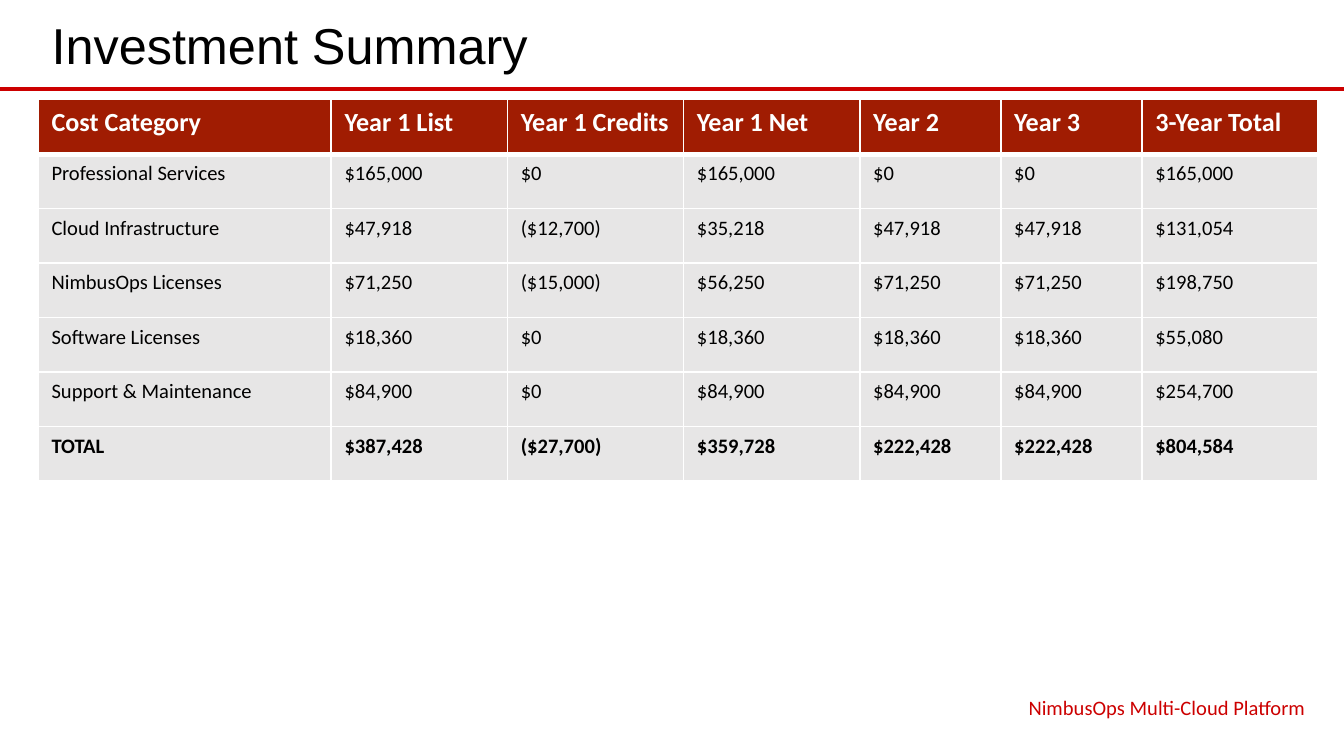
from lxml.etree import SubElement
from pptx import Presentation
from pptx.dml.color import RGBColor as RGB
from pptx.enum.shapes import MSO_CONNECTOR as CONN
from pptx.enum.text import MSO_ANCHOR as ANCHOR, PP_ALIGN as ALIGN
from pptx.oxml.ns import qn
from pptx.util import Pt

COLORS = {"red": "CC0000", "header": "A01C02", "row": "E7E6E6",
          "black": "000000", "white": "FFFFFF"}
COL_WIDTHS = [157, 94.4, 94.4, 94.4, 75.6, 75.6, 94.4]
ROWS = [
    ["Cost Category", "Year 1 List", "Year 1 Credits", "Year 1 Net", "Year 2", "Year 3", "3-Year Total"],
    ["Professional Services", "$165,000", "$0", "$165,000", "$0", "$0", "$165,000"],
    ["Cloud Infrastructure", "$47,918", "($12,700)", "$35,218", "$47,918", "$47,918", "$131,054"],
    ["NimbusOps Licenses", "$71,250", "($15,000)", "$56,250", "$71,250", "$71,250", "$198,750"],
    ["Software Licenses", "$18,360", "$0", "$18,360", "$18,360", "$18,360", "$55,080"],
    ["Support & Maintenance", "$84,900", "$0", "$84,900", "$84,900", "$84,900", "$254,700"],
    ["TOTAL", "$387,428", "($27,700)", "$359,728", "$222,428", "$222,428", "$804,584"],
]


def color(name):
    return RGB.from_string(COLORS[name])


def set_font(p, name, size, tint, bold=False):
    f = p.font
    f.name, f.size, f.bold = name, Pt(size), bold
    f.color.rgb = color(tint)


def fill_text(sp, text, font, size, tint, align):
    tf = sp.text_frame
    tf.text = text
    tf.word_wrap = True
    tf.vertical_anchor = ANCHOR.MIDDLE
    p = tf.paragraphs[0]
    p.alignment = align
    set_font(p, font, size, tint)


def add_header(s, x, y, w, h):
    """Title placeholder with a rule across the slide below it."""
    title = s.shapes.title
    title.left, title.top, title.width, title.height = Pt(x), Pt(y), Pt(w), Pt(h)
    fill_text(title, "Investment Summary", "Arial", 27, "black", ALIGN.LEFT)
    rule_y = Pt(y + h + 3)
    rule = s.shapes.add_connector(CONN.STRAIGHT, 0, rule_y, Pt(720), rule_y)
    rule.line.color.rgb = color("red")
    rule.line.width = Pt(2.25)
    SubElement(rule._element.spPr, qn("a:effectLst"))


def set_borders(cell, top, bottom):
    """White borders: 1 pt at the sides, given widths above and below."""
    tc_pr = cell._tc.get_or_add_tcPr()
    for side, width in (("L", 1), ("R", 1), ("T", top), ("B", bottom)):
        ln = SubElement(tc_pr, qn(f"a:ln{side}"), w=str(Pt(width)))
        SubElement(SubElement(ln, qn("a:solidFill")), qn("a:srgbClr"), val=COLORS["white"])


def add_cost_table(s, x, y, w, h):
    table = s.shapes.add_table(len(ROWS), len(COL_WIDTHS), Pt(x), Pt(y), Pt(w), Pt(h)).table
    for col, width in zip(table.columns, COL_WIDTHS):
        col.width = Pt(width)
    for i, values in enumerate(ROWS):
        is_header, is_total = i == 0, i == len(ROWS) - 1
        table.rows[i].height = Pt(h / len(ROWS))
        for j, value in enumerate(values):
            cell = table.cell(i, j)
            set_borders(cell, 3 if i == 1 else 1, 3 if is_header else 1)
            cell.fill.solid()
            cell.fill.fore_color.rgb = color("header" if is_header else "row")
            cell.text = value
            set_font(cell.text_frame.paragraphs[0], "Calibri", 14 if is_header else 11,
                     "white" if is_header else "black", is_header or is_total)


def add_footer(s, x, y, w, h):
    box = s.shapes.add_textbox(Pt(x), Pt(y), Pt(w), Pt(h))
    fill_text(box, "NimbusOps Multi-Cloud Platform", "Calibri", 11, "red", ALIGN.RIGHT)


def main():
    prs = Presentation()
    prs.slide_width, prs.slide_height = Pt(720), Pt(405)
    s = prs.slides.add_slide(prs.slide_layouts[5])
    add_header(s, 20.4, 3, 686, 41.8)
    add_cost_table(s, 20.4, 53.4, 686, 204.4)
    add_footer(s, 453, 369.6, 253.4, 19)
    prs.save("out.pptx")


if __name__ == "__main__":
    main()
